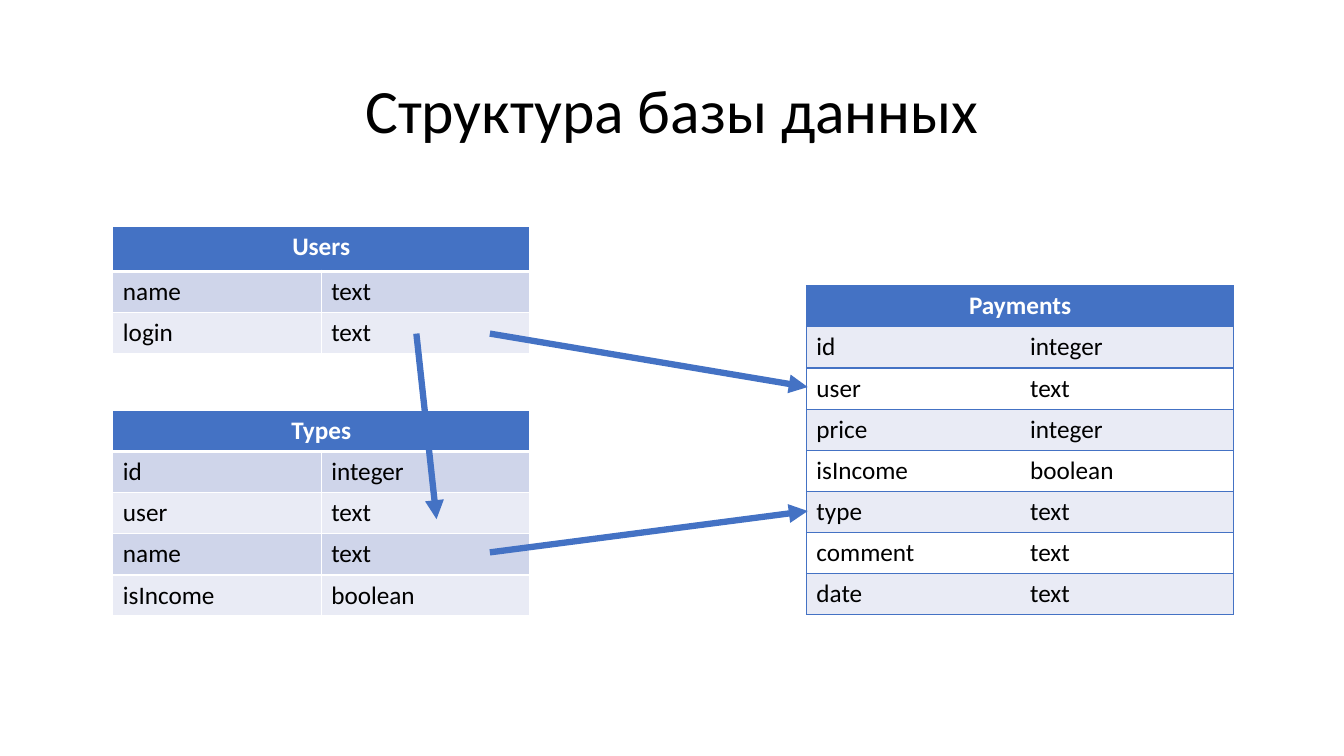
from dataclasses import dataclass

from lxml import etree
from pptx import Presentation, util as u
from pptx.dml.color import RGBColor
from pptx.enum import shapes, text
from pptx.oxml.ns import qn


@dataclass(frozen=True)
class Theme:
    font: str = "Calibri"
    title_size: int = 44
    table_size: int = 18
    black: str = "000000"
    white: str = "FFFFFF"
    blue: str = "4472C4"
    band_dark: str = "CFD5EA"
    band_light: str = "E9EBF5"
    thin: float = 1
    thick: float = 3
    arrow: float = 4.5


THEME = Theme()
SLIDE_WIDTH, SLIDE_HEIGHT = u.Inches(13.33), u.Inches(7.5)
ROW = 5.44  # height of a table row, in grid rows


# The slide is a grid of 100 columns by 100 rows
def columns(count):
    return round(SLIDE_WIDTH * count / 100)


def rows(count):
    return round(SLIDE_HEIGHT * count / 100)


def grid_box(left, top, width, height):
    return columns(left), rows(top), columns(width), rows(height)


def write(frame, content, size=THEME.table_size, color=THEME.black,
          bold=False, align=text.PP_ALIGN.LEFT, spacing=None):
    paragraph = frame.paragraphs[0]
    paragraph.alignment = align
    paragraph.line_spacing = spacing
    run = paragraph.add_run()
    run.text = content
    run.font.name = THEME.font
    run.font.size = u.Pt(size)
    run.font.bold = bold
    run.font.color.rgb = RGBColor.from_string(color)


def set_borders(cell, borders):
    """Borders maps each side (L, R, T, B) to a (color, width) pair or None."""
    properties = cell._tc.get_or_add_tcPr()
    for position, side in enumerate("LRTB"):
        border = etree.Element(qn(f"a:ln{side}"))
        if borders[side]:
            color, width = borders[side]
            border.set("w", str(u.Pt(width)))
            fill = etree.SubElement(border, qn("a:solidFill"))
            etree.SubElement(fill, qn("a:srgbClr"), val=color)
        else:
            etree.SubElement(border, qn("a:noFill"))
        properties.insert(position, border)


def add_title(slide, box, content):
    title = slide.shapes.title
    title.left, title.top, title.width, title.height = box
    title.text_frame.vertical_anchor = text.MSO_ANCHOR.MIDDLE
    write(title.text_frame, content, size=THEME.title_size,
          align=text.PP_ALIGN.CENTER, spacing=0.9)


def add_entity(slide, left, top, width, name, fields, bands, line_color,
               header_height=ROW, header_line=THEME.thin, inner_line=True):
    box = grid_box(left, top, width, header_height + ROW * len(fields))
    table = slide.shapes.add_table(len(fields) + 1, 2, *box).table
    table.first_row = table.horz_banding = False
    for column in table.columns:
        column.width = columns(width / 2)
    for index, row in enumerate(table.rows):
        row.height = rows(ROW if index else header_height)

    # Fills and borders
    line = (line_color, THEME.thin)
    divider = (line_color, header_line)
    for index, row in enumerate(table.rows):
        for side, cell in enumerate(row.cells):
            color = bands[(index - 1) % 2] if index else THEME.blue
            cell.fill.solid()
            cell.fill.fore_color.rgb = RGBColor.from_string(color)
            inner = line if inner_line or index == 0 else None
            set_borders(cell, {
                "L": inner if side else line,
                "R": line if side else inner,
                "T": divider if index == 1 else line,
                "B": line if index else divider,
            })

    # Header and fields
    header = table.cell(0, 0)
    header.merge(table.cell(0, 1))
    write(header.text_frame, name, color=THEME.white, bold=True,
          align=text.PP_ALIGN.CENTER)
    for index, field in enumerate(fields, start=1):
        for side, content in enumerate(field):
            write(table.cell(index, side).text_frame, content)


def add_arrow(slide, start, end):
    arrow = slide.shapes.add_connector(
        shapes.MSO_CONNECTOR.STRAIGHT,
        columns(start[0]), rows(start[1]), columns(end[0]), rows(end[1]))
    arrow.line.color.rgb = RGBColor.from_string(THEME.blue)
    arrow.line.width = u.Pt(THEME.arrow)
    etree.SubElement(arrow.line._get_or_add_ln(), qn("a:tailEnd"), type="triangle")
    etree.SubElement(arrow._element.spPr, qn("a:effectLst"))


def build_database_slide(presentation):
    slide = presentation.slides.add_slide(presentation.slide_layouts[5])
    add_title(slide, grid_box(6.9, 5.33, 86.25, 19.33), "Структура базы данных")

    # Payments on the right, Users and Types stacked on the left
    add_entity(slide, 60, 37.8, 31.8, "Payments", [
        ("id", "integer"), ("user", "text"), ("price", "integer"),
        ("isIncome", "boolean"), ("type", "text"), ("comment", "text"),
        ("date", "text"),
    ], (THEME.band_light, THEME.white), THEME.blue, inner_line=False)
    left_style = {"bands": (THEME.band_dark, THEME.band_light),
                  "line_color": THEME.white, "header_line": THEME.thick}
    add_entity(slide, 8.4, 29.9, 31, "Users",
               [("name", "text"), ("login", "text")],
               header_height=6, **left_style)
    add_entity(slide, 8.4, 54.3, 31, "Types", [
        ("id", "integer"), ("user", "text"), ("name", "text"),
        ("isIncome", "boolean"),
    ], **left_style)

    # Relations between the tables
    add_arrow(slide, (36.45, 44.13), (60.1, 51.2))
    add_arrow(slide, (36.45, 73.07), (60.1, 67.6))
    add_arrow(slide, (30.98, 44.13), (32.48, 68.67))


def main():
    presentation = Presentation()
    presentation.slide_width = SLIDE_WIDTH
    presentation.slide_height = SLIDE_HEIGHT
    build_database_slide(presentation)
    presentation.save("out.pptx")


if __name__ == "__main__":
    main()
